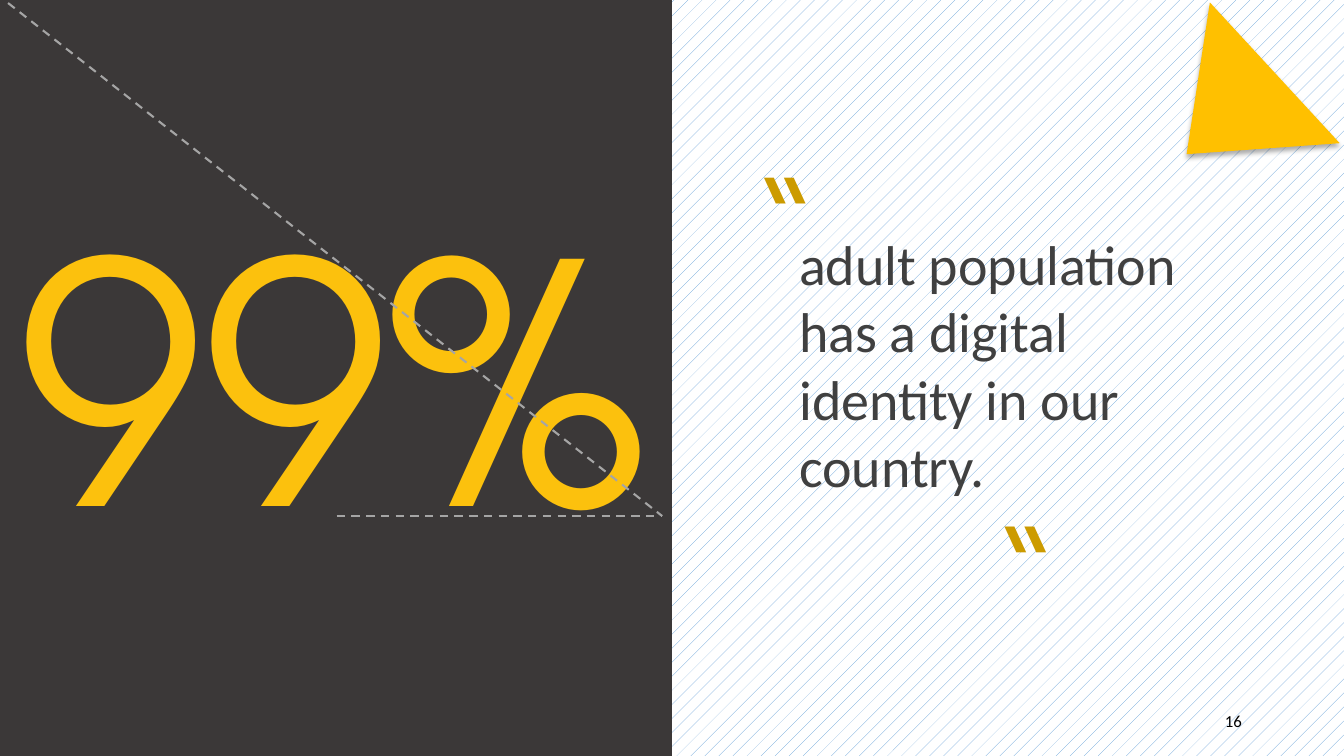
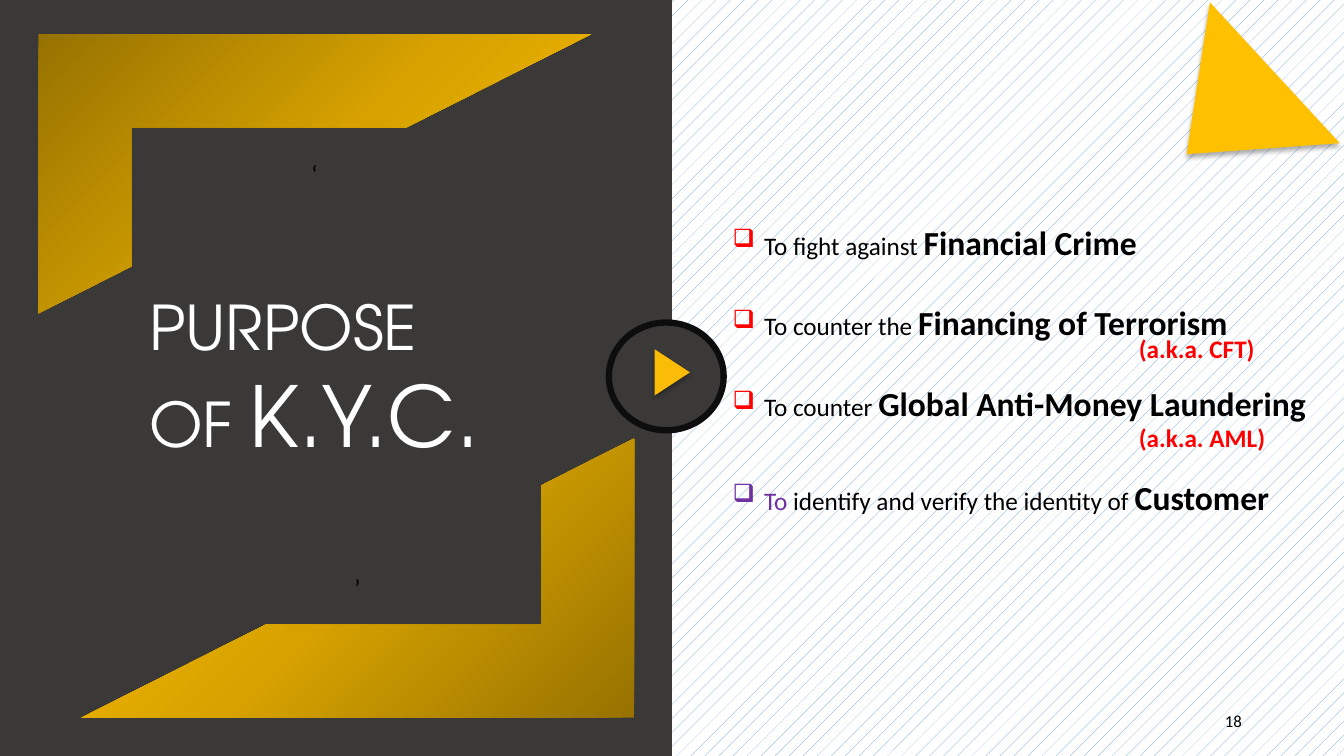
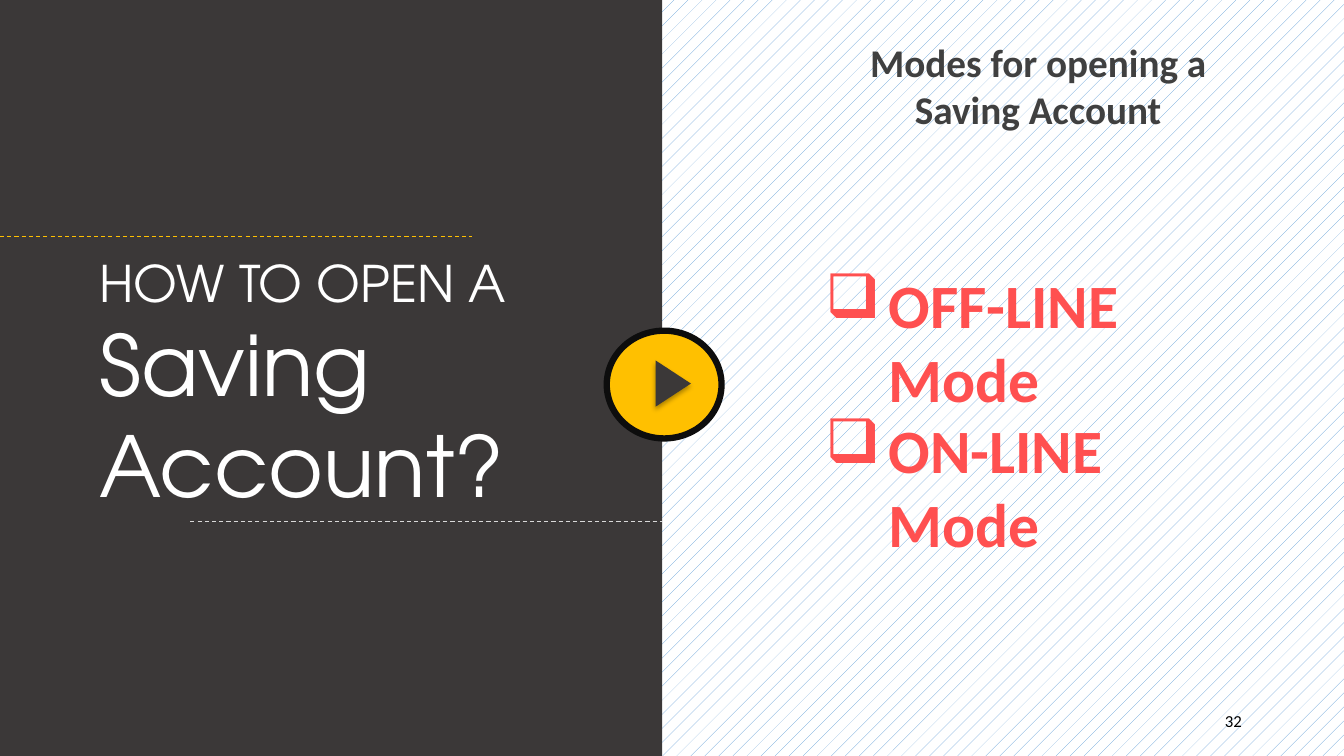
from lxml.etree import SubElement
from pptx import Presentation
from pptx.dml.color import RGBColor
from pptx.enum.dml import MSO_LINE, MSO_PATTERN
from pptx.enum.shapes import MSO_CONNECTOR, MSO_SHAPE
from pptx.enum.text import MSO_ANCHOR, MSO_AUTO_SIZE, PP_ALIGN
from pptx.oxml import parse_xml
from pptx.oxml.ns import nsdecls, qn
from pptx.util import Pt

DARK = RGBColor(0x3B, 0x38, 0x38)
BLACK = RGBColor(0, 0, 0)
WHITE = RGBColor(0xFF, 0xFF, 0xFF)
BLUE = RGBColor(0x5B, 0x9B, 0xD5)
GREY_TEXT = RGBColor(0x40, 0x40, 0x40)
GREY_LINE = RGBColor(0xA5, 0xA5, 0xA5)
PALE_LINE = RGBColor(0xD9, 0xD9, 0xD9)
OUTLINE = RGBColor(0x0D, 0x0D, 0x0D)
GOLD = RGBColor(0xFF, 0xC0, 0x00)
PLAY_GOLD = RGBColor(0xFA, 0xBC, 0x07)
BIG_GOLD = RGBColor(0xFC, 0xC1, 0x0D)
QUOTE_GOLD = RGBColor(0xCC, 0x9B, 0x00)
RED = RGBColor(0xFF, 0, 0)
CORAL = RGBColor(0xFF, 0x50, 0x50)
PURPLE = RGBColor(0x70, 0x30, 0xA0)
GOLD_STOPS = ((0, "977200"), (50, "D7A200"), (100, "FFC000"))

BODY = "Calibri"
DISPLAY = "TeX Gyre Adventor"


def add_runs(p, runs, font):
    for text, size, color, bold in runs:
        r = p.add_run()
        r.text = text
        r.font.name = font
        r.font.size = Pt(size)
        r.font.color.rgb = color
        r.font.bold = bold


def add_bullet(p, indent, color=None):
    pPr = p._p.get_or_add_pPr()
    pPr.set("marL", str(Pt(indent)))
    pPr.set("indent", str(-Pt(indent)))
    if color is not None:
        buClr = SubElement(pPr, qn("a:buClr"))
        SubElement(buClr, qn("a:srgbClr")).set("val", str(color))
    SubElement(pPr, qn("a:buChar")).set("char", "❑")


def add_text(s, box, paragraphs, font=BODY, align=None, spacing=None,
             indent=0, bullet_color=None, rotation=0):
    sp = s.shapes.add_textbox(*map(Pt, box))
    sp.rotation = rotation
    tf = sp.text_frame
    tf.word_wrap = True
    tf.auto_size = MSO_AUTO_SIZE.SHAPE_TO_FIT_TEXT
    for i, runs in enumerate(paragraphs):
        p = tf.paragraphs[0] if i == 0 else tf.add_paragraph()
        p.alignment = align
        if spacing:
            p.line_spacing = spacing
        if indent:
            add_bullet(p, indent, bullet_color)
        add_runs(p, runs, font)
    return sp


def add_block(s, kind, box, color, rotation=0, outline=None):
    sp = s.shapes.add_shape(kind, *map(Pt, box))
    sp.shadow.inherit = False
    sp.rotation = rotation
    sp.fill.solid()
    sp.fill.fore_color.rgb = color
    if outline is None:
        sp.line.fill.background()
    else:
        sp.line.color.rgb = outline
        sp.line.width = Pt(4.5)
    return sp


def add_triangle(s, box, color, rotation):
    sp = add_block(s, MSO_SHAPE.ISOSCELES_TRIANGLE, box, color, rotation)
    effects = sp._element.spPr.find(qn("a:effectLst"))
    effects.append(parse_xml(
        f'<a:outerShdw {nsdecls("a")} blurRad="{Pt(3.5)}" dist="{Pt(2.2)}" '
        'dir="5400000" algn="t" rotWithShape="0"><a:srgbClr val="000000">'
        '<a:alpha val="32000"/></a:srgbClr></a:outerShdw>'))


def add_corner_triangle(s):
    add_triangle(s, (810.7, 38.2, 136.8, 85.7), GOLD, 227.3)


def add_play_circle(s, left, top, color):
    add_block(s, MSO_SHAPE.OVAL, (left, top, 82, 77), color, outline=OUTLINE)


def add_play_arrow(s, left, top, color):
    add_triangle(s, (left, top, 33, 25.2), color, 90)


def add_half_frame(s, left, top, rotation):
    sp = add_block(s, MSO_SHAPE.HALF_FRAME, (left, top, 394.6, 199.4), GOLD, rotation)
    spPr = sp._element.spPr
    stops = "".join(f'<a:gs pos="{pos * 1000}"><a:srgbClr val="{color}"/></a:gs>'
                    for pos, color in GOLD_STOPS)
    spPr.replace(spPr.find(qn("a:solidFill")), parse_xml(
        f'<a:gradFill {nsdecls("a")} rotWithShape="1"><a:gsLst>{stops}</a:gsLst>'
        '<a:lin ang="2700000" scaled="0"/></a:gradFill>'))
    tf = sp.text_frame
    tf.vertical_anchor = MSO_ANCHOR.MIDDLE
    p = tf.paragraphs[0]
    p.alignment = PP_ALIGN.CENTER
    add_runs(p, [("‘", 18, BLACK, False)], BODY)


def add_dashes(s, start, end, color, width):
    line = s.shapes.add_connector(MSO_CONNECTOR.STRAIGHT, *map(Pt, start + end))
    line.line.color.rgb = color
    line.line.width = Pt(width)
    line.line.dash_style = MSO_LINE.DASH
    SubElement(line._element.spPr, qn("a:effectLst"))


def add_base_slide(prs, number, panel_width=480):
    s = prs.slides.add_slide(prs.slide_layouts[6])
    fill = s.background.fill
    fill.patterned()
    fill.pattern = MSO_PATTERN.PERCENT_5
    fill.fore_color.rgb = BLUE
    fill.back_color.rgb = WHITE
    add_block(s, MSO_SHAPE.RECTANGLE, (0, 0, panel_width, 540), DARK)
    sp = add_text(s, (678.2, 500.4, 216, 28.8),
                  [[(str(number), 12, BLACK, False)]], align=PP_ALIGN.RIGHT)
    sp.text_frame.auto_size = MSO_AUTO_SIZE.NONE
    sp.text_frame.vertical_anchor = MSO_ANCHOR.MIDDLE
    return s


def add_share_slide(prs):
    s = add_base_slide(prs, 16)
    add_text(s, (563.8, 160.6, 305.3, 200.9),
             [[("adult population has a digital identity in our country.",
                40, GREY_TEXT, False)]])
    add_text(s, (5.8, 119.5, 468.7, 301), [[("99%", 239, BIG_GOLD, False)]], DISPLAY)
    for left, top, rotation in ((530, 98.6, 0), (715, 299.5, 180)):
        add_text(s, (left, top, 49, 123.8), [[("“", 96, QUOTE_GOLD, False)]],
                 DISPLAY, rotation=rotation)
    corner = (473, 368.6)
    for start in ((240.5, 368.6), (5.8, 2.2)):
        add_dashes(s, start, corner, GREY_LINE, 1.5)
    add_corner_triangle(s)


def add_purpose_slide(prs):
    s = add_base_slide(prs, 18)
    add_play_circle(s, 434.9, 230.4, DARK)
    add_text(s, (99.4, 203, 263.5, 133.2),
             [[("PURPOSE OF ", 44, WHITE, False), ("K.Y.C.", 60, WHITE, False)]], DISPLAY)
    add_half_frame(s, 27.4, 24.5, 0)
    add_half_frame(s, 58.3, 313.2, 180)
    add_corner_triangle(s)
    add_play_arrow(s, 463.7, 253.4, PLAY_GOLD)
    purposes = (("To fight against ", "Financial Crime"),
                ("To counter the ", "Financing of Terrorism"),
                ("To counter ", "Global Anti-Money Laundering"))
    add_text(s, (516.2, 126, 443.8, 218.2),
             [[(lead, 18, BLACK, False), (key, 24, BLACK, True)] for lead, key in purposes],
             spacing=2.0, indent=22.5, bullet_color=RED)
    for top, alias in ((223.9, "(a.k.a. CFT)"), (287.3, "(a.k.a. AML)")):
        add_text(s, (806.4, top, 129.6, 36.7), [[(alias, 18, RED, True)]], spacing=1.5)
    add_text(s, (516.2, 337, 443.8, 36),
             [[("To ", 18, PURPLE, False),
               ("identify and verify the identity of ", 18, BLACK, False),
               ("Customer", 24, BLACK, True)]], indent=22.5)


def add_account_slide(prs):
    s = add_base_slide(prs, 32, 473)
    add_play_circle(s, 433.4, 236.2, GOLD)
    add_text(s, (64, 176.4, 327, 196.6),
             [[("HOW TO OPEN A", 36, WHITE, False)],
              [("Saving Account?", 60, WHITE, False)]], DISPLAY)
    add_dashes(s, (136, 372.2), (473, 372.2), PALE_LINE, 0.75)
    add_dashes(s, (0, 169.2), (337, 169.2), GOLD, 0.75)
    add_text(s, (534.2, 23.8, 414.7, 74.9),
             [[(line, 28, GREY_TEXT, True)]
              for line in ("Modes for opening a", "Saving Account")],
             align=PP_ALIGN.CENTER)
    for top, mode in ((187.2, "OFF-LINE Mode"), (290.9, "ON-LINE Mode")):
        add_text(s, (582.5, top, 318.2, 60.5), [[(mode, 44, CORAL, True)]], indent=45)
    add_play_arrow(s, 464.4, 261.4, DARK)


def main():
    prs = Presentation()
    prs.slide_width = Pt(960)
    prs.slide_height = Pt(540)
    add_share_slide(prs)
    add_purpose_slide(prs)
    add_account_slide(prs)
    prs.save("out.pptx")


if __name__ == "__main__":
    main()
